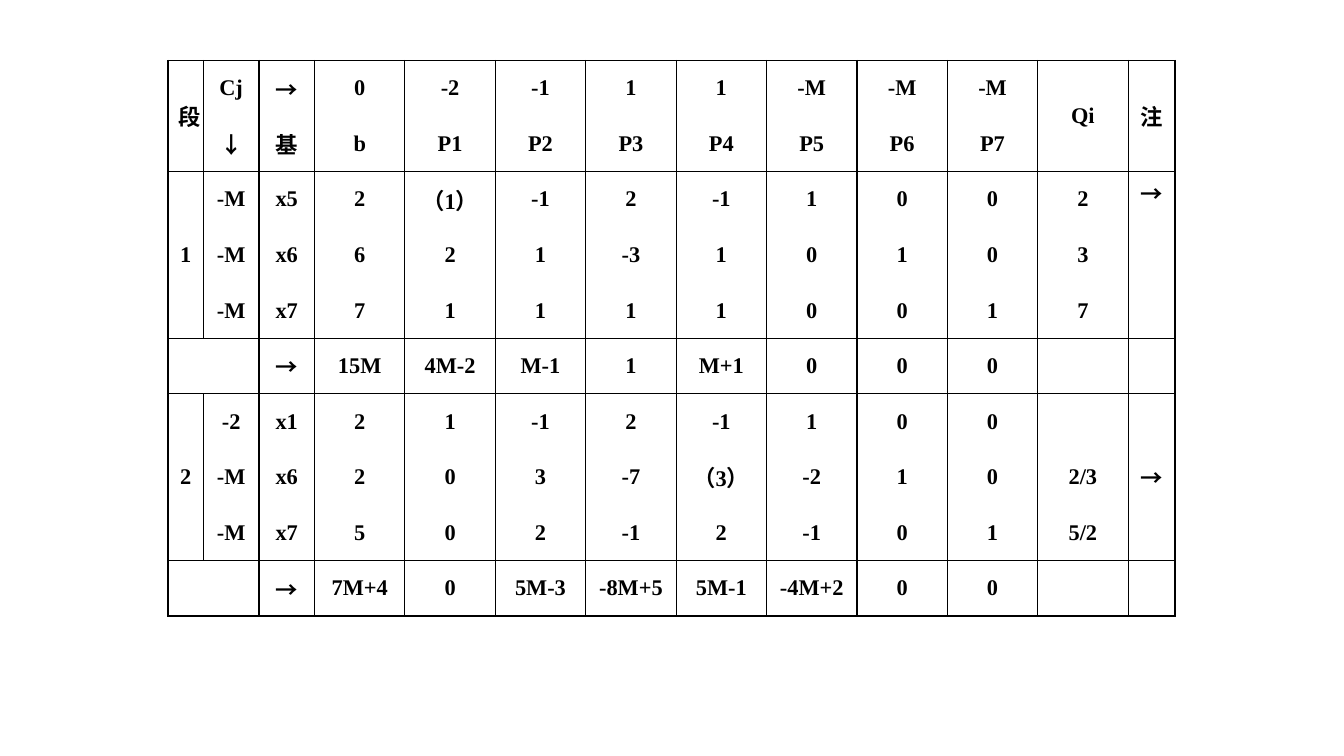
from lxml import etree
from pptx import Presentation
from pptx.dml.color import RGBColor
from pptx.enum.text import MSO_ANCHOR, PP_ALIGN
from pptx.oxml.ns import qn
from pptx.util import Pt

CENTER = PP_ALIGN.CENTER
TOP, MIDDLE = MSO_ANCHOR.TOP, MSO_ANCHOR.MIDDLE
BLACK = RGBColor(0, 0, 0)
LATIN, CJK = "Times New Roman", "Noto Sans CJK SC"

# Simplex tableau: blocks of rows, ruled only around each block
BLOCKS = [
    [["段", "Cj", "→", "0", "-2", "-1", "1", "1", "-M", "-M", "-M", "Qi", "注"],
     ["", "↓", "基", "b", "P1", "P2", "P3", "P4", "P5", "P6", "P7", "", ""]],
    [["1", "-M", "x5", "2", "（1）", "-1", "2", "-1", "1", "0", "0", "2", "→"],
     ["", "-M", "x6", "6", "2", "1", "-3", "1", "0", "1", "0", "3", ""],
     ["", "-M", "x7", "7", "1", "1", "1", "1", "0", "0", "1", "7", ""]],
    [["", "", "→", "15M", "4M-2", "M-1", "1", "M+1", "0", "0", "0", "", ""]],
    [["2", "-2", "x1", "2", "1", "-1", "2", "-1", "1", "0", "0", "", ""],
     ["", "-M", "x6", "2", "0", "3", "-7", "（3）", "-2", "1", "0", "2/3", "→"],
     ["", "-M", "x7", "5", "0", "2", "-1", "2", "-1", "0", "1", "5/2", ""]],
    [["", "", "→", "7M+4", "0", "5M-3", "-8M+5", "5M-1", "-4M+2", "0", "0", "", ""]],
]
# Merged cells: first row, first column, last row, last column
MERGES = [(0, 0, 1, 0), (0, 11, 1, 11), (0, 12, 1, 12), (2, 0, 4, 0),
          (2, 12, 4, 12), (5, 0, 5, 1), (6, 0, 8, 0), (9, 0, 9, 1)]
TOP_ANCHORED = {(2, 12)}
COL_WIDTHS = [25.3, 39.7, 39.7] + [64.6] * 9 + [33.5]
ROW_HEIGHT = 39.7
LEFT, TOP_EDGE = 120, 43.2
HANGING = Pt(27)


def set_borders(cell, ruled):
    """Draw a 1 pt line on each side named in ruled, none on the others."""
    tcPr = cell._tc.get_or_add_tcPr()
    for side in "LRTB":
        ln = etree.SubElement(tcPr, qn(f"a:ln{side}"), w=str(Pt(1)))
        if side in ruled:
            fill = etree.SubElement(ln, qn("a:solidFill"))
            etree.SubElement(fill, qn("a:srgbClr"), val=str(BLACK))
        else:
            etree.SubElement(ln, qn("a:noFill"))


def write(cell, text):
    p = cell.text_frame.paragraphs[0]
    p.text = text
    p.alignment = CENTER
    pPr = p._p.get_or_add_pPr()
    pPr.set("marL", str(HANGING))
    pPr.set("indent", str(-HANGING))
    font = p.font
    font.size, font.bold = Pt(16), True
    font.color.rgb = BLACK
    # Numbers in brackets stay in the Latin font; symbols and Chinese do not
    font.name = LATIN if text.strip("（）").isascii() else CJK
    etree.SubElement(pPr.find(qn("a:defRPr")), qn("a:ea"), typeface=CJK)


prs = Presentation()
prs.slide_width, prs.slide_height = Pt(960), Pt(540)
s = prs.slides.add_slide(prs.slide_layouts[6])

# Table frame
n_rows = sum(len(block) for block in BLOCKS)
table = s.shapes.add_table(n_rows, len(COL_WIDTHS), Pt(LEFT), Pt(TOP_EDGE),
                           Pt(sum(COL_WIDTHS)), Pt(n_rows * ROW_HEIGHT)).table
table.first_row = table.horz_banding = False
for column, width in zip(table.columns, COL_WIDTHS):
    column.width = Pt(width)
for row in table.rows:
    row.height = Pt(ROW_HEIGHT)
for r1, c1, r2, c2 in MERGES:
    table.cell(r1, c1).merge(table.cell(r2, c2))

# Cells
r = 0
for block in BLOCKS:
    for i, values in enumerate(block):
        for c, text in enumerate(values):
            cell = table.cell(r, c)
            spans_block = cell.is_merge_origin
            ruled = "LR"
            if i == 0:
                ruled += "T"
            if i == len(block) - 1 or spans_block:
                ruled += "B"
            set_borders(cell, ruled)
            cell.fill.background()
            cell.vertical_anchor = TOP if (r, c) in TOP_ANCHORED else MIDDLE
            if text:
                write(cell, text)
        r += 1

prs.save("out.pptx")
